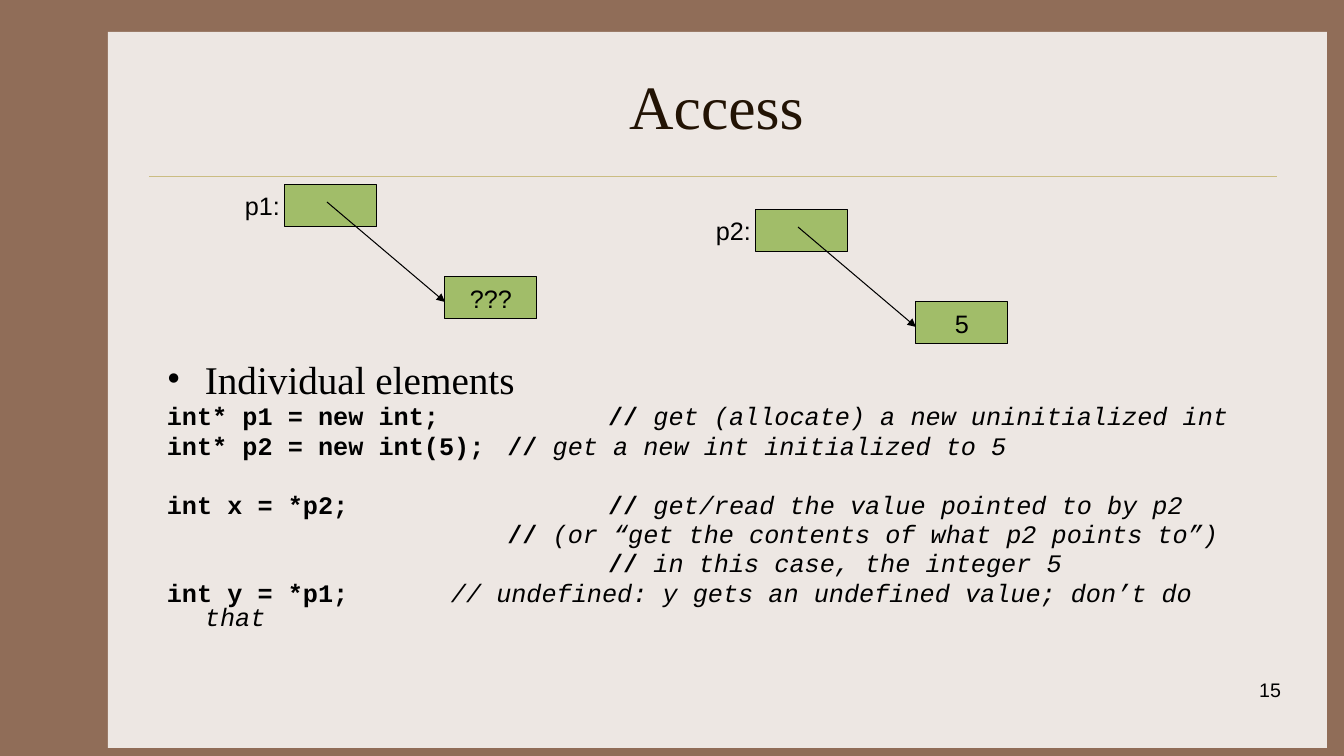
import pptx
import pptx.dml.color
import pptx.enum.shapes
import pptx.enum.text
import pptx.oxml
import pptx.oxml.ns
import pptx.util
from lxml import etree

EMU_PER_INCH = 914400
PX_PER_INCH = 100.8
BLACK = "000000"
ALIGN = pptx.enum.text.PP_ALIGN
ANCHOR = pptx.enum.text.MSO_ANCHOR
CODE_LINES = [
    ("int* p1 = new int;\t\t// ", "get (allocate) a new uninitialized int"),
    ("int* p2 = new int(5);\t// ", "get a new int initialized to 5"),
    ("int x = *p2;\t\t\t// ", "get/read the value pointed to by p2"),
    ("\t\t\t\t// ", "(or “get the contents of what p2 points to”)"),
    ("\t\t\t\t\t// ", "in this case, the integer 5"),
    ("int y = *p1;\t", "// undefined: y gets an undefined value; don’t do that"),
]
LINE_AFTER_GAP = 2
LINE_WITH_OWN_TAB = 5


def px(length):
    """Turn pixels into EMU."""
    return pptx.util.Emu(round(length * EMU_PER_INCH / PX_PER_INCH))


def color(value):
    """Turn a hex string into a colour."""
    return pptx.dml.color.RGBColor.from_string(value)


def add_child(parent, tag, **attributes):
    """Append a drawing element to a parent."""
    return etree.SubElement(parent, pptx.oxml.ns.qn(tag), attributes)


def set_font(font, name, size, value=BLACK):
    """Set the face, size and colour of a font."""
    font.name = name
    font.size = pptx.util.Pt(size)
    font.color.rgb = color(value)


def add_rect(page, left, top, width, height, fill):
    """Add a filled rectangle without outline."""
    rect = page.shapes.add_shape(
        pptx.enum.shapes.MSO_SHAPE.RECTANGLE, px(left), px(top), px(width), px(height))
    rect.shadow.inherit = False
    rect.fill.solid()
    rect.fill.fore_color.rgb = color(fill)
    rect.line.fill.background()
    return rect


def add_line(page, start, end, value, weight):
    """Add a straight line between two points."""
    line = page.shapes.add_connector(
        pptx.enum.shapes.MSO_CONNECTOR.STRAIGHT, *map(px, (*start, *end)))
    line.line.color.rgb = color(value)
    line.line.width = pptx.util.Pt(weight)
    add_child(line._element.spPr, "a:effectLst")
    return line


def add_text_frame(page, left, top, width, height):
    """Add a wrapping text box and return its frame."""
    box = page.shapes.add_textbox(px(left), px(top), px(width), px(height))
    box.text_frame.word_wrap = True
    return box.text_frame


def add_label(page, left, top, width, height, text, name, size, value=BLACK, align=ALIGN.LEFT):
    """Add a text box with one paragraph and return its frame."""
    frame = add_text_frame(page, left, top, width, height)
    para = frame.paragraphs[0]
    para.text = text
    para.alignment = align
    set_font(para.font, name, size, value)
    return frame


def draw_panel(page, left, top, width, height):
    """Draw the light panel, the title and the rule under it."""
    add_rect(page, left, top, width, height, "EDE7E3")
    add_line(page, (left + 41, top + 144), (left + 1169, top + 144), "CBBD83", 0.25)
    title = add_label(page, left + 49, top + 10, 1119, 126, "Access",
                      "Times New Roman", 44, "221304", ALIGN.CENTER)
    title.vertical_anchor = ANCHOR.MIDDLE
    add_label(page, left + 903, top + 641, 280, 50, "15", "Arial", 14, align=ALIGN.RIGHT)


def add_cell(page, left, top, text=""):
    """Add one memory cell with an optional value."""
    cell = add_rect(page, left, top, 92, 42, "A1BD69")
    cell.line.color.rgb = color(BLACK)
    cell.line.width = pptx.util.Pt(0.75)
    if text:
        frame = cell.text_frame
        frame.word_wrap = False
        frame.vertical_anchor = ANCHOR.MIDDLE
        para = frame.paragraphs[0]
        para.text = text
        para.alignment = ALIGN.CENTER
        set_font(para.font, "Arial", 18)


def draw_pointer(page, left, top, name, value):
    """Draw a named pointer cell with an arrow to its value cell."""
    add_cell(page, left + 210, top + 92, value)
    add_cell(page, left + 50, top)
    arrow = add_line(page, (left + 92, top + 17), (left + 210, top + 117), BLACK, 0.75)
    add_child(arrow.line._get_or_add_ln(), "a:tailEnd", type="triangle")
    add_label(page, left, top, 67, 40, name, "Arial", 18)


def format_body_para(para, tab_step):
    """Set the hanging indent, tab step and spacing of a body paragraph."""
    para.line_spacing = 0.8
    para.space_before = pptx.util.Pt(0)
    properties = para._p.get_or_add_pPr()
    properties.set("marL", str(px(38)))
    properties.set("indent", str(-px(38)))
    properties.set("defTabSz", str(tab_step))
    spacing = properties.find(pptx.oxml.ns.qn("a:spcBef"))
    spacing.clear()
    add_child(spacing, "a:spcPct", val="20000")
    return properties


def draw_body(page, left, top, width, height):
    """Write the bullet and the commented code lines."""
    frame = add_text_frame(page, left, top, width, height)
    para = frame.paragraphs[0]
    para.text = "Individual elements"
    properties = format_body_para(para, EMU_PER_INCH)
    add_child(properties, "a:buFont", typeface="Times New Roman")
    add_child(properties, "a:buChar", char="•")
    set_font(para.font, "Times New Roman", 28)
    for index, (code, comment) in enumerate(CODE_LINES):
        para = frame.add_paragraph()
        format_body_para(para, px(246) if index == LINE_WITH_OWN_TAB else EMU_PER_INCH)
        if index == LINE_AFTER_GAP:
            para.space_before = pptx.util.Pt(25)
        set_font(para.font, "Courier New", 18)
        span = para.add_run()
        span.text = code
        span.font.bold = True
        span = para.add_run()
        span.text = comment
        span.font.italic = True


def main():
    """Build the slide and save it."""
    deck = pptx.Presentation()
    deck.slide_width, deck.slide_height = px(1344), px(756)
    page = deck.slides.add_slide(deck.slide_layouts[6])
    page.background.fill.solid()
    page.background.fill.fore_color.rgb = color("906D58")
    draw_panel(page, 108, 32, 1219, 716)
    draw_body(page, 157, 359, 1120, 287)
    draw_pointer(page, 706, 210, "p2:", "5")
    draw_pointer(page, 235, 185, "p1:", "???")
    deck.save("out.pptx")


if __name__ == "__main__":
    main()
